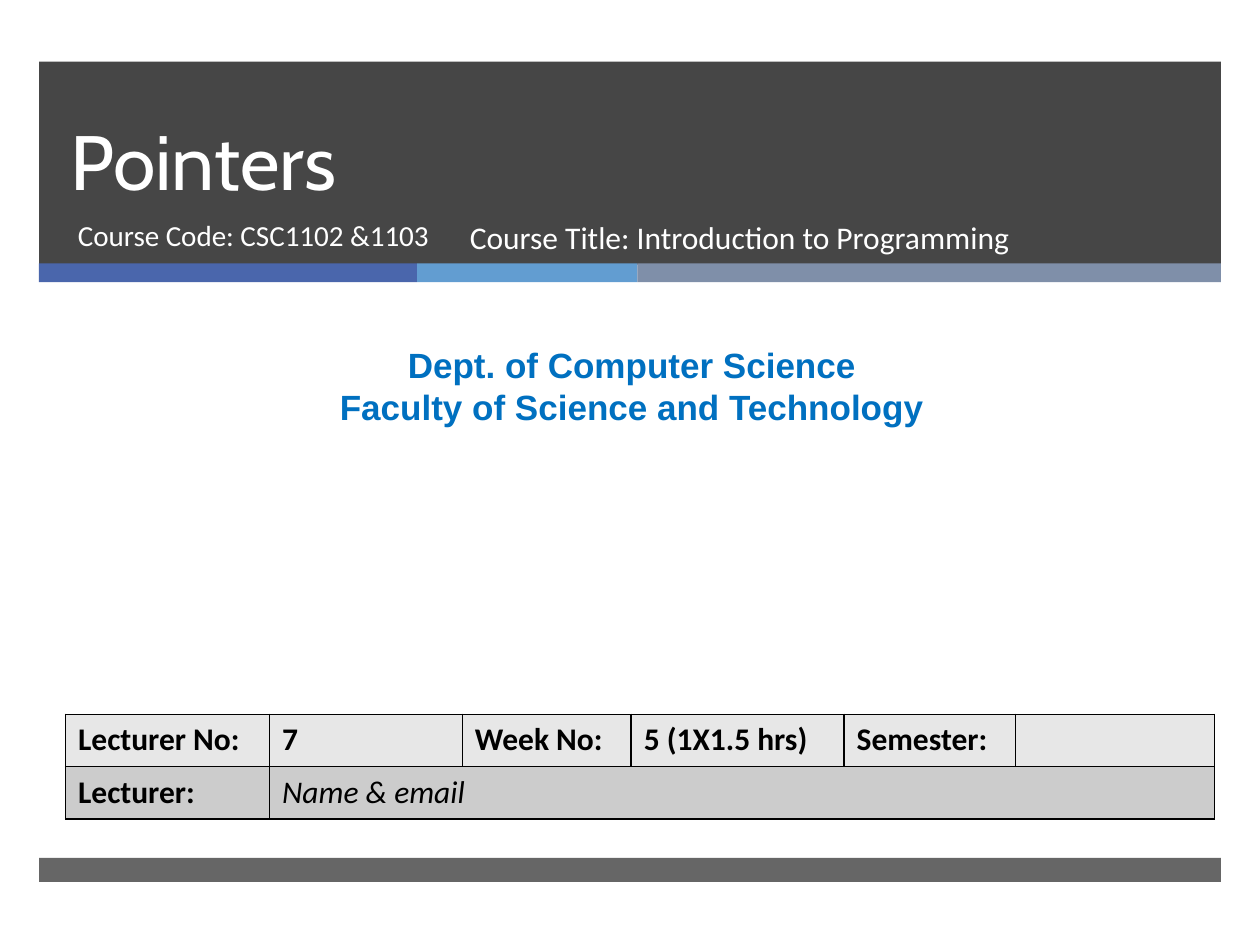
from dataclasses import dataclass
from itertools import accumulate

from lxml.etree import SubElement
from pptx import Presentation
from pptx.dml.color import RGBColor
from pptx.enum.shapes import MSO_SHAPE
from pptx.enum.text import MSO_ANCHOR, PP_ALIGN
from pptx.oxml.ns import qn
from pptx.util import Inches, Pt


@dataclass(frozen=True)
class Theme:
    dark: str = "262626"
    stripes: tuple = ("4A66AC", "629DD1", "7F8FA9")
    light_text: str = "FFFFFF"
    dark_text: str = "000000"
    department: str = "0070C0"
    table_rows: tuple = ("E7E7E7", "CCCCCC")
    title_font: str = "Cabin"
    body_font: str = "Calibri"
    department_font: str = "Arial"
    title_size: float = 44
    department_size: float = 20
    body_size: float = 18
    code_size: float = 16.6


THEME = Theme()
SLIDE_WIDTH, SLIDE_HEIGHT = Inches(10), Inches(7.5)
BAND_LEFT, BAND_WIDTH = 3.1, 93.8
STRIPE_WIDTHS = (30, 17.5, 46.3)
COLUMN_WIDTHS = (16.2, 15.3, 13.4, 16.9, 13.6, 15.8)
TABLE_ROWS = (
    ("Lecturer No:", "7", "Week No:", "5 (1X1.5 hrs)", "Semester:", ""),
    ("Lecturer:", "Name & email"),
)


def across(percent):
    return round(SLIDE_WIDTH * percent / 100)


def down(percent):
    return round(SLIDE_HEIGHT * percent / 100)


def box(left, top, width, height):
    """Turn percentages of the slide into a position and size."""
    return across(left), down(top), across(width), down(height)


def write_text(frame, text, *, size, font, color, bold=False, italic=False,
               align=PP_ALIGN.LEFT, anchor=MSO_ANCHOR.TOP, line_spacing=None):
    frame.word_wrap = True
    frame.vertical_anchor = anchor
    for index, line in enumerate(text.split("\n")):
        paragraph = frame.paragraphs[0] if index == 0 else frame.add_paragraph()
        paragraph.alignment = align
        paragraph.line_spacing = line_spacing
        paragraph.font.size = Pt(size)
        run = paragraph.add_run()
        run.text = line
        run.font.size = Pt(size)
        run.font.name = font
        run.font.bold = bold
        run.font.italic = italic
        run.font.color.rgb = RGBColor.from_string(color)


def add_text(slide, area, text, **text_format):
    shape = slide.shapes.add_textbox(*box(*area))
    write_text(shape.text_frame, text, **text_format)


def add_band(slide, area, color, opacity=100):
    shape = slide.shapes.add_shape(MSO_SHAPE.RECTANGLE, *box(*area))
    shape.shadow.inherit = False
    shape.line.fill.background()
    shape.fill.solid()
    shape.fill.fore_color.rgb = RGBColor.from_string(color)
    if opacity < 100:
        color_element = shape.fill._xPr.find(qn("a:solidFill"))[0]
        SubElement(color_element, qn("a:alpha"), val=str(opacity * 1000))


def style_cell(cell, fill):
    properties = cell._tc.get_or_add_tcPr()
    for side in ("L", "R", "T", "B"):
        border = SubElement(properties, qn(f"a:ln{side}"), w=str(Pt(1)))
        solid = SubElement(border, qn("a:solidFill"))
        SubElement(solid, qn("a:srgbClr"), val=THEME.dark_text)
    cell.fill.solid()
    cell.fill.fore_color.rgb = RGBColor.from_string(fill)


def add_lecture_table(slide):
    area = box(5.2, 75.6, sum(COLUMN_WIDTHS), 11.07)
    table = slide.shapes.add_table(
        len(TABLE_ROWS), len(COLUMN_WIDTHS), *area).table
    table.first_row = table.horz_banding = False
    for column, width in zip(table.columns, COLUMN_WIDTHS):
        column.width = across(width)
    for row, fill in zip(table.rows, THEME.table_rows):
        for cell in row.cells:
            style_cell(cell, fill)
    table.cell(1, 1).merge(table.cell(1, len(COLUMN_WIDTHS) - 1))
    for row_index, texts in enumerate(TABLE_ROWS):
        for column_index, text in enumerate(texts):
            is_name = (row_index, column_index) == (1, 1)
            write_text(table.cell(row_index, column_index).text_frame, text,
                       size=THEME.body_size, font=THEME.body_font,
                       color=THEME.dark_text, bold=not is_name, italic=is_name)


def add_bands(slide):
    add_band(slide, (BAND_LEFT, 6.53, BAND_WIDTH, 21.47), THEME.dark, 85)
    lefts = accumulate(STRIPE_WIDTHS, initial=BAND_LEFT)
    for left, width, color in zip(lefts, STRIPE_WIDTHS, THEME.stripes):
        add_band(slide, (left, 27.87, width, 2), color)
    add_band(slide, (BAND_LEFT, 90.8, BAND_WIDTH, 2.53), THEME.dark, 70)


def main():
    presentation = Presentation()
    presentation.slide_width = SLIDE_WIDTH
    presentation.slide_height = SLIDE_HEIGHT
    slide = presentation.slides.add_slide(presentation.slide_layouts[6])

    # Banner, stripes and footer
    add_bands(slide)

    # Title and course details
    add_text(slide, (4.6, 6.53, 85.4, 15.87), "Pointers",
             size=THEME.title_size, font=THEME.title_font,
             color=THEME.light_text, anchor=MSO_ANCHOR.BOTTOM,
             line_spacing=Pt(46))
    add_text(slide, (5.2, 22.4, 32.1, 7.07), "Course Code: CSC1102 &1103",
             size=THEME.code_size, font=THEME.body_font, color=THEME.light_text)
    add_text(slide, (36.3, 22.4, 45.5, 7.07),
             "Course Title: Introduction to Programming",
             size=THEME.body_size, font=THEME.body_font, color=THEME.light_text)

    # Department
    add_text(slide, (0.8, 35.73, 98.7, 10.27),
             "Dept. of Computer Science\nFaculty of Science and Technology",
             size=THEME.department_size, font=THEME.department_font,
             color=THEME.department, bold=True, align=PP_ALIGN.CENTER)

    # Lecture details
    add_lecture_table(slide)

    presentation.save("out.pptx")


if __name__ == "__main__":
    main()
